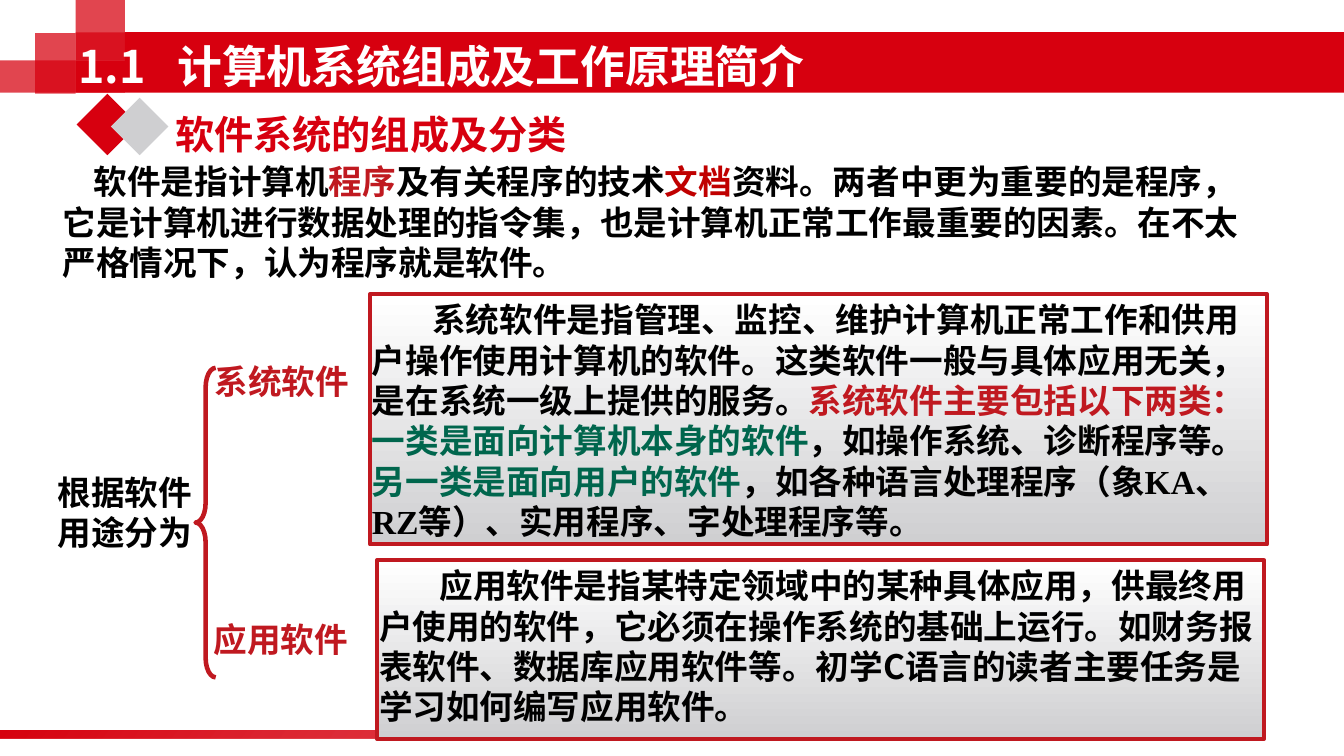
from pptx import Presentation
from pptx import util as u
from pptx import oxml
from pptx.dml.color import RGBColor
from pptx.enum import shapes, text
from pptx.oxml import ns

COLORS = {
    "red": "D7000F", "crimson": "C01920", "dark_red": "C00000", "green": "00664D",
    "silver": "CFCFD1", "white": "FFFFFF", "black": "000000",
}
SANS, SERIF = "Noto Sans CJK SC", "Times New Roman"
CELL = 0.1
COLUMNS, ROWS = 133.33, 75
KIND = shapes.MSO_SHAPE


def cells(count):
    return u.Inches(count * CELL)


def rgb(name):
    return RGBColor.from_string(COLORS[name])


def write(frame, spans, size=24, color="black", indent=0, tab=None, middle=False, left=1):
    frame.word_wrap = True
    frame.vertical_anchor = text.MSO_ANCHOR.MIDDLE if middle else text.MSO_ANCHOR.TOP
    frame.margin_left, frame.margin_right = cells(left), cells(1)
    frame.margin_top = frame.margin_bottom = cells(0.5)
    para = frame.paragraphs[0]
    para.alignment = text.PP_ALIGN.LEFT
    para.line_spacing = u.Pt(size * 1.2)
    properties = para._p.get_or_add_pPr()
    if indent:
        properties.set("indent", str(cells(indent)))
    if tab:
        stops = oxml.parse_xml(f'<a:tabLst {ns.nsdecls("a")}><a:tab pos="{cells(tab)}" algn="l"/></a:tabLst>')
        properties.append(stops)
    for words, span_color, face in spans:
        span = para.add_run()
        span.text = words
        span.font.size, span.font.bold, span.font.name = u.Pt(size), True, face or SANS
        span.font.color.rgb = rgb(span_color or color)
        east_asian = oxml.parse_xml(f'<a:ea {ns.nsdecls("a")} typeface="{SANS}"/>')
        span.font._element.find(ns.qn("a:latin")).addnext(east_asian)


def span(words, color=None, face=None):
    return words, color, face


class Board:
    def __init__(self, deck):
        deck.slide_width, deck.slide_height = cells(COLUMNS), cells(ROWS)
        self.page = deck.slides.add_slide(deck.slide_layouts[6])

    def shape(self, kind, place, fill=None, alpha=100, line=None, width=3):
        box = self.page.shapes.add_shape(kind, *map(cells, place))
        box.shadow.inherit = False
        if fill:
            box.fill.solid()
            box.fill.fore_color.rgb = rgb(fill)
            if alpha < 100:
                color = box._element.spPr.find(".//" + ns.qn("a:srgbClr"))
                color.append(oxml.parse_xml(f'<a:alpha {ns.nsdecls("a")} val="{alpha * 1000}"/>'))
        else:
            box.fill.background()
        if line:
            box.line.color.rgb = rgb(line)
            box.line.width = u.Pt(width)
        else:
            box.line.fill.background()
        return box

    def gradient(self, place, stops, angle, line=None):
        box = self.shape(KIND.RECTANGLE, place, line=line)
        marks = "".join(
            f'<a:gs pos="{position * 1000}"><a:srgbClr val="{COLORS[color]}">'
            f'<a:alpha val="{alpha * 1000}"/></a:srgbClr></a:gs>'
            for position, color, alpha in stops)
        shading = oxml.parse_xml(
            f'<a:gradFill {ns.nsdecls("a")} rotWithShape="1"><a:gsLst>{marks}</a:gsLst>'
            f'<a:lin ang="{angle * 60000}" scaled="0"/></a:gradFill>')
        properties = box._element.spPr
        properties.replace(properties.find(ns.qn("a:noFill")), shading)
        return box

    def label(self, place, *spans, **style):
        box = self.page.shapes.add_textbox(*map(cells, place))
        write(box.text_frame, spans, **style)

    def panel(self, place, *spans):
        box = self.gradient(place, [(0, "white", 100), (100, "silver", 100)], 90, "crimson")
        write(box.text_frame, spans, indent=6, left=0.2)

    def brace(self, place):
        brace = self.shape(KIND.LEFT_BRACE, place, line="crimson", width=3.25)
        brace.adjustments[0], brace.adjustments[1] = 0.97, 0.5


def main():
    deck = Presentation()
    board = Board(deck)

    board.shape(KIND.RECTANGLE, (12.4, 3.2, 120.93, 6), "red")
    for place in [(0, 6, 12.4, 3.2), (3.5, 3.3, 4, 6), (7.5, -0.2, 4.9, 6.2), (7.5, 3.2, 4.9, 2.8)]:
        board.shape(KIND.RECTANGLE, place, "red", alpha=73)
    board.shape(KIND.RECTANGLE, (7.5, 6, 4.9, 3.2), "red")
    fade = [(0, "red", 100), (31, "red", 84), (64, "red", 75), (100, "red", 36)]
    board.gradient((-0.2, 72.5, 99.7, 0.8), fade, 40)

    board.label(
        (6, 15.5, 119.7, 13.4),
        span("软件是指计算机"), span("程序", "crimson"), span("及有关程序的技术"),
        span("文档", "dark_red"),
        span("资料。两者中更为重要的是程序，它是计算机进行数据处理的指令集，也是计算机正常工作"
             "最重要的因素。在不太严格情况下，认为程序就是软件。"),
        indent=3.1, left=0.2)
    board.label((5.5, 45.7, 16.4, 10.2), span("根据软件用途分为"), middle=True, left=0.2)

    board.panel(
        (36.7, 29.2, 89, 24.8),
        span("系统软件是指管理、监控、维护计算机正常工作和供用户操作使用计算机的软件。"
             "这类软件一般与具体应用无关，是在系统一级上提供的服务。"),
        span("系统软件主要包括以下两类：", "crimson"),
        span("一类是面向计算机本身的软件", "green"), span("，如操作系统、诊断程序等。"),
        span("另一类是面向用户的软件", "green"), span("，如各种语言处理程序（象"),
        span("KA、RZ", face=SERIF), span("等）、实用程序、字处理程序等。"))
    board.panel(
        (37.4, 55.6, 88, 17.7),
        span("应用软件是指某特定领域中的某种具体应用，供最终用户使用的软件，它必须在操作系统的"
             "基础上运行。如财务报表软件、数据库应用软件等。初学C语言的读者主要任务是学习如何"
             "编写应用软件。"))

    board.label((20.3, 35.3, 20.4, 5), span("系统软件"), color="crimson")
    board.label((20.2, 60.9, 16.4, 5), span("应用软件"), color="crimson")
    board.brace((19.4, 36.5, 2, 30.7))

    board.shape(KIND.DIAMOND, (7.6, 9.3, 6.1, 6.1), "red")
    board.shape(KIND.DIAMOND, (11, 9.7, 5.7, 5.7), "silver")
    board.label((16.4, 10.5, 57.8, 5.7), span("软件系统的组成及分类"), size=28, color="red")
    board.label((6.8, 3.2, 89, 6.7), span("1.1\t计算机系统组成及工作原理简介"),
                size=32, color="white", tab=9.8, middle=True)

    deck.save("out.pptx")


if __name__ == "__main__":
    main()
